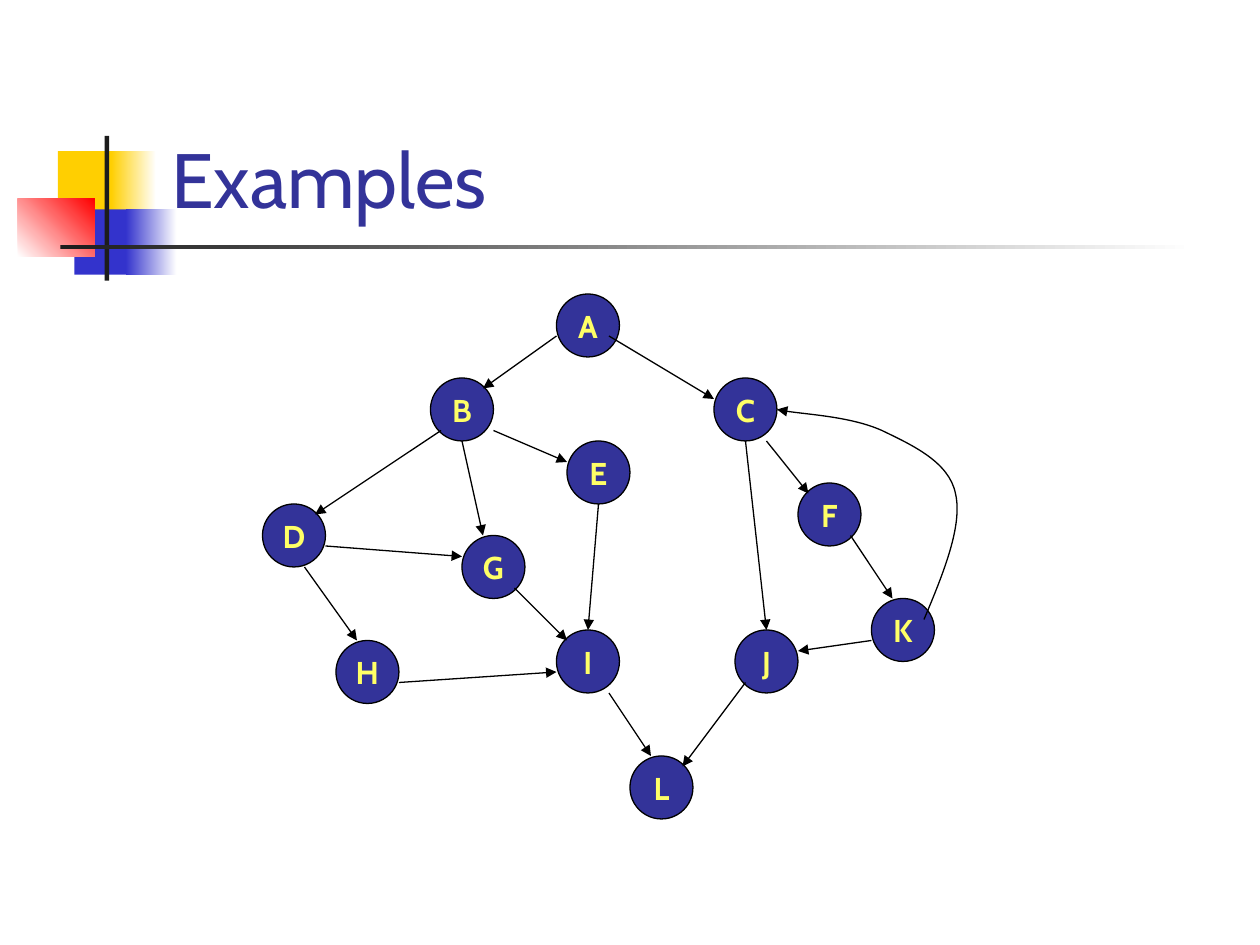
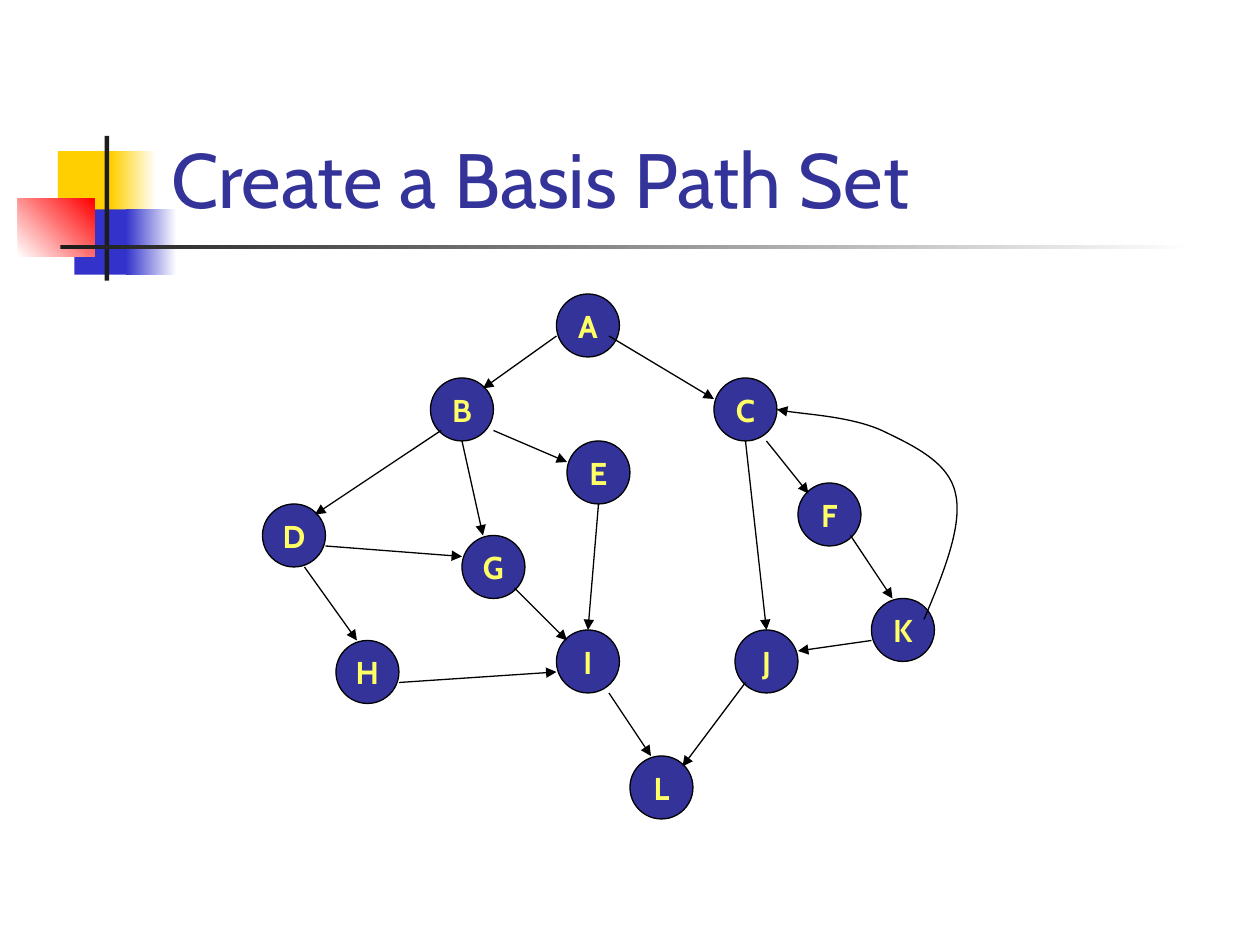
"""Two slides that show the same control-flow graph under a decorated title."""
from lxml import etree
from pptx import Presentation
from pptx import util as u
from pptx.dml.color import RGBColor
from pptx.enum import shapes, text
from pptx.oxml.ns import qn

COLORS = {
    "indigo": "333399", "lemon": "FFFF66", "black": "000000", "white": "FFFFFF",
    "yellow": "FFCF01", "blue": "3333CC", "red": "FF0000", "ink": "1C1C1C",
}
FONT = "Cabin"
GRID = 2.54 / 12
NODE_SIZE = 6
TITLES = ["Examples", "Create a Basis Path Set"]

BAND = [
    (1.17, 3.05, 1.22, 1.32, ["yellow"], 0),
    (2.24, 3.05, 0.91, 1.32, ["yellow", "white"], 0),
    (1.5, 4.22, 1.17, 1.32, ["blue"], 0),
    (2.54, 4.22, 1.02, 1.32, ["blue", "white"], 0),
    (0.36, 4.01, 1.55, 1.17, ["white", "red"], 45),
    (2.11, 2.74, 0.09, 2.92, ["ink"], 0),
    (1.22, 4.94, 22.86, 0.09, ["ink", "white"], 0),
]
NODES = {
    "A": (53, 28), "B": (41, 36), "C": (68, 36), "D": (25, 48),
    "E": (54, 42), "F": (76, 46), "G": (44, 51), "H": (32, 61),
    "I": (53, 60), "J": (70, 60), "K": (83, 57), "L": (60, 72),
}
EDGES = {
    "AB": (53, 32, 46, 37), "AC": (58, 32, 68, 38),
    "BD": (42, 41, 30, 49), "BE": (47, 41, 54, 44), "BG": (44, 42, 46, 51),
    "CF": (73, 42, 77, 47), "CJ": (71, 42, 73, 60),
    "DG": (31, 52, 44, 53), "DH": (29, 54, 34, 61),
    "EI": (57, 48, 56, 60), "FK": (81, 51, 85, 57), "GI": (49, 56, 54, 61),
    "HI": (38, 65, 53, 64), "IL": (58, 66, 62, 72),
    "JL": (71, 65, 65, 73), "KJ": (83, 61, 76, 62),
}
LOOP_KC = [
    (88, 59), (89.9, 54.5), (91.7, 50), (91, 47), (90.4, 44),
    (86.9, 42.4), (84, 41), (81.1, 39.7), (75.7, 39.4), (74, 39),
]


def rgb(name):
    return RGBColor.from_string(COLORS[name])


def grid(*steps):
    return [u.Cm(n * GRID) for n in steps]


def style_text(tf, size, color, align, anchor, bold=False):
    tf.vertical_anchor = anchor
    p = tf.paragraphs[0]
    p.alignment = align
    font = p.runs[0].font
    font.name, font.size, font.bold = FONT, u.Pt(size), bold
    font.color.rgb = rgb(color)


def style_line(line):
    line.color.rgb = rgb("black")
    line.width = u.Pt(0.75)


def add_arrowhead(sp):
    ln = sp.line._get_or_add_ln()
    etree.SubElement(ln, qn("a:tailEnd"), type="triangle")


def add_title(s, title):
    sp = s.shapes.title
    sp.left, sp.top, sp.width, sp.height = map(u.Cm, (3.2, 0.58, 21.64, 4.06))
    tf = sp.text_frame
    tf.text = title
    tf.auto_size = text.MSO_AUTO_SIZE.NONE
    style_text(tf, 44, "indigo", text.PP_ALIGN.LEFT, text.MSO_ANCHOR.BOTTOM)


def add_band(s):
    for left, top, width, height, colors, angle in BAND:
        sp = s.shapes.add_shape(
            shapes.MSO_SHAPE.RECTANGLE, *map(u.Cm, (left, top, width, height)))
        sp.shadow.inherit = False
        sp.line.fill.background()
        if len(colors) == 1:
            sp.fill.solid()
            sp.fill.fore_color.rgb = rgb(colors[0])
        else:
            sp.fill.gradient()
            sp.fill.gradient_angle = angle
            for stop, color in zip(sp.fill.gradient_stops, colors):
                stop.color.rgb = rgb(color)


def add_node(s, label, left, top):
    sp = s.shapes.add_shape(
        shapes.MSO_SHAPE.OVAL, *grid(left, top, NODE_SIZE, NODE_SIZE))
    sp.shadow.inherit = False
    sp.fill.solid()
    sp.fill.fore_color.rgb = rgb("indigo")
    style_line(sp.line)
    tf = sp.text_frame
    tf.text = label
    tf.word_wrap = False
    style_text(tf, 18, "lemon", text.PP_ALIGN.CENTER, text.MSO_ANCHOR.MIDDLE, True)


def add_edge(s, ends):
    cxn = s.shapes.add_connector(shapes.MSO_CONNECTOR.STRAIGHT, *grid(*ends))
    style_line(cxn.line)
    add_arrowhead(cxn)
    etree.SubElement(cxn._element.spPr, qn("a:effectLst"))


def add_curve(s, points):
    start, *rest = [grid(*point) for point in points]
    builder = s.shapes.build_freeform(*start)
    builder.add_line_segments(rest, close=False)
    sp = builder.convert_to_shape()
    sp.shadow.inherit = False
    sp.fill.background()
    style_line(sp.line)
    add_arrowhead(sp)
    outline = next(sp._element.iter(qn("a:path")))
    segments = outline.findall(qn("a:lnTo"))
    for i in range(0, len(segments), 3):
        bezier = etree.SubElement(outline, qn("a:cubicBezTo"))
        for segment in segments[i:i + 3]:
            bezier.append(segment[0])
            outline.remove(segment)


def add_graph(s):
    for label, (left, top) in NODES.items():
        add_node(s, label, left, top)
    for ends in EDGES.values():
        add_edge(s, ends)
    add_curve(s, LOOP_KC)


def main():
    prs = Presentation()
    prs.slide_width, prs.slide_height = u.Cm(25.4), u.Cm(19.05)
    for title in TITLES:
        s = prs.slides.add_slide(prs.slide_layouts[5])
        add_band(s)
        add_title(s, title)
        add_graph(s)
    prs.save("out.pptx")


if __name__ == "__main__":
    main()
